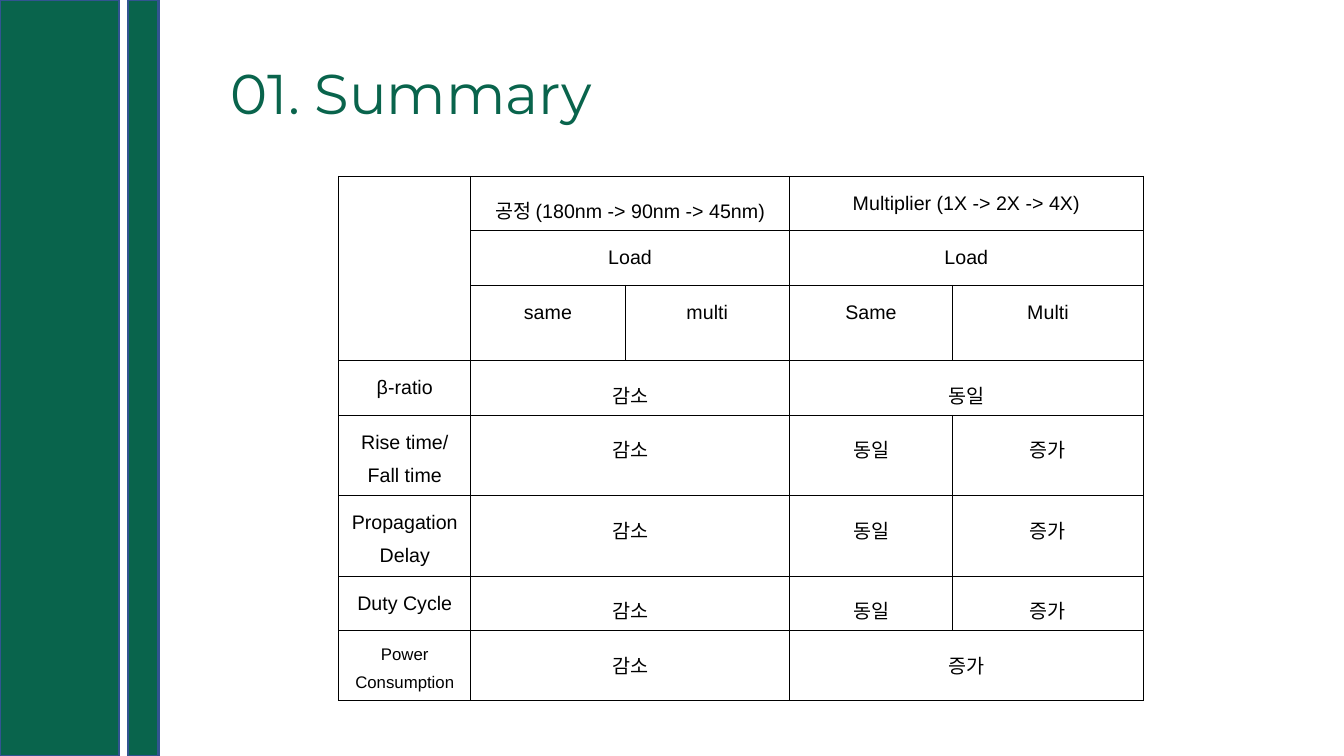
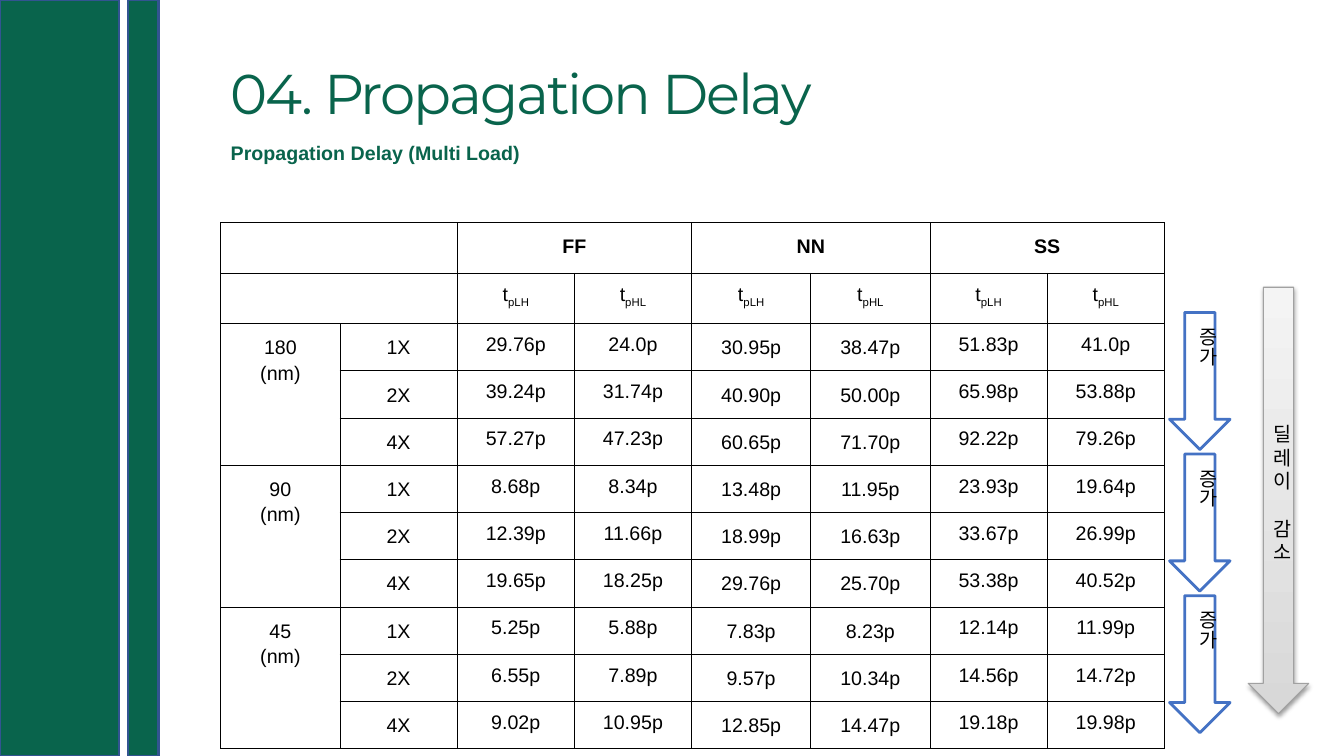
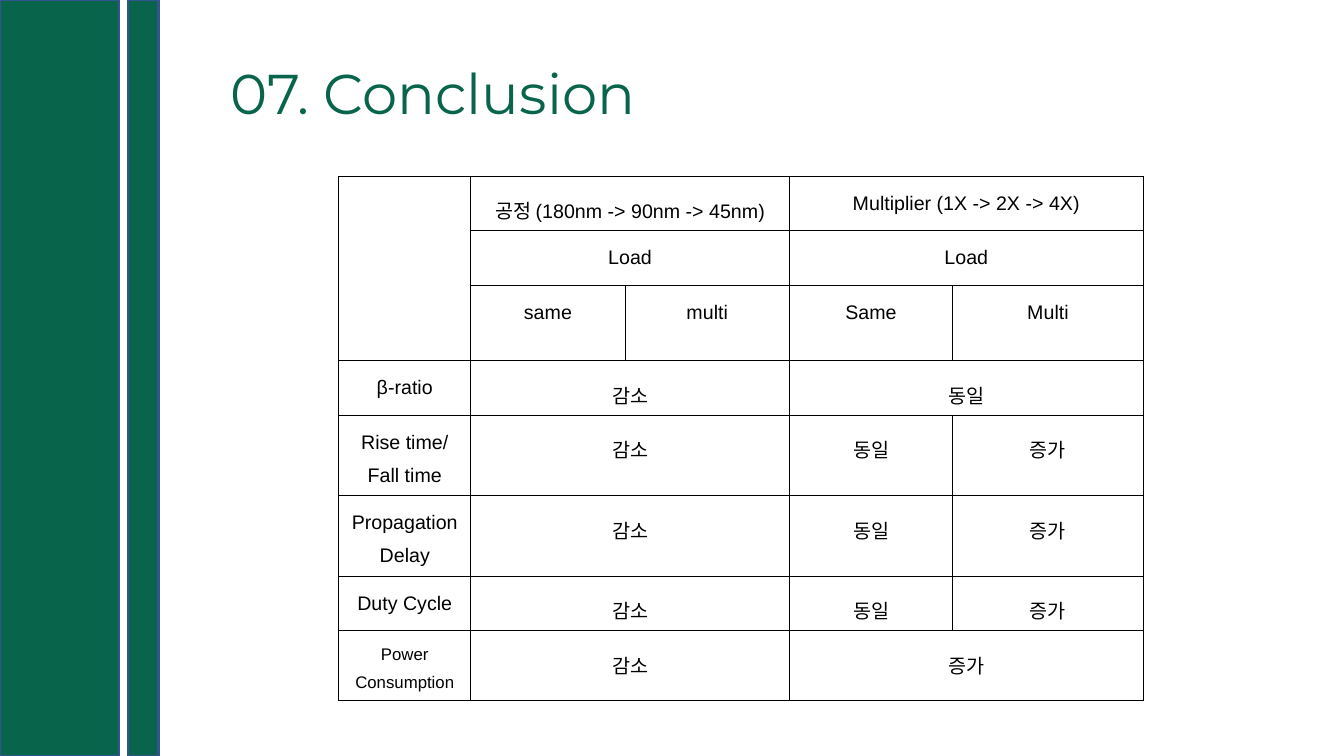
from lxml.etree import SubElement as Sub
from pptx import Presentation
from pptx.dml.color import RGBColor as Rgb
from pptx.enum.shapes import MSO_SHAPE as Kind
from pptx.enum.text import MSO_ANCHOR as Anchor, MSO_AUTO_SIZE as Fit, PP_ALIGN as Align
from pptx.oxml import parse_xml
from pptx.oxml.ns import nsdecls, qn
from pptx.util import Inches, Pt

HUES = {"green": "09644C", "edge": "325491", "blue": "4472C4", "black": "000000",
        "white": "FFFFFF", "gray": "A1A1A1", "dark": "D8D8D8", "light": "F4F4F4"}
WIDE, HIGH = 13.33, 7.5
BANDS = [(0, 1.18), (1.27, 0.3)]
TITLE = (2.19, 0.75, 9.8, 0.41)
LEFT, UP = "<", "^"

TREND = [
    ["", "공정 (180nm -> 90nm -> 45nm)", LEFT, "Multiplier (1X -> 2X -> 4X)", LEFT],
    [UP, "Load", LEFT, "Load", LEFT],
    [UP, "same", "multi", "Same", "Multi"],
    ["β-ratio", "감소", LEFT, "동일", LEFT],
    ["Rise time/\nFall time", "감소", LEFT, "동일", "증가"],
    ["Propagation Delay", "감소", LEFT, "동일", "증가"],
    ["Duty Cycle", "감소", LEFT, "동일", "증가"],
    ["Power Consumption", "감소", LEFT, "증가", LEFT],
]
DELAY = {
    "180": ["29.76p 24.0p 30.95p 38.47p 51.83p 41.0p",
            "39.24p 31.74p 40.90p 50.00p 65.98p 53.88p",
            "57.27p 47.23p 60.65p 71.70p 92.22p 79.26p"],
    "90": ["8.68p 8.34p 13.48p 11.95p 23.93p 19.64p",
           "12.39p 11.66p 18.99p 16.63p 33.67p 26.99p",
           "19.65p 18.25p 29.76p 25.70p 53.38p 40.52p"],
    "45": ["5.25p 5.88p 7.83p 8.23p 12.14p 11.99p",
           "6.55p 7.89p 9.57p 10.34p 14.56p 14.72p",
           "9.02p 10.95p 12.85p 14.47p 19.18p 19.98p"],
}


def hue(name):
    return Rgb.from_string(HUES[name])


def place(box):
    return [Inches(n) for n in box]


def style(frame, size=14, face="Arial", color="black", bold=False,
          align=Align.CENTER, lead=None):
    for para in frame.paragraphs:
        para.alignment = align
        if lead:
            para.line_spacing = lead
        for run in para.runs:
            font = run.font
            font.size, font.name, font.bold = Pt(size), face, bold
            font.color.rgb = hue(color)


def add_form(slide, kind, box, fill, line, weight):
    form = slide.shapes.add_shape(kind, *place(box))
    form.shadow.inherit = False
    if fill:
        form.fill.solid()
        form.fill.fore_color.rgb = hue(fill)
    form.line.color.rgb = hue(line)
    form.line.width = Pt(weight)
    return form


def add_text(slide, box, text, **look):
    label = slide.shapes.add_textbox(*place(box))
    frame = label.text_frame
    frame.word_wrap = True
    frame.auto_size = Fit.SHAPE_TO_FIT_TEXT
    frame.text = text
    style(frame, **look)
    return frame


def add_page(deck, text, track=None):
    slide = deck.slides.add_slide(deck.slide_layouts[5])
    for x, w in BANDS:
        add_form(slide, Kind.RECTANGLE, (x, 0, w, HIGH), "green", "edge", 2)
    title = slide.shapes.title
    title.left, title.top, title.width, title.height = place(TITLE)
    frame = title.text_frame
    frame.text = text
    frame.word_wrap = True
    frame.auto_size = Fit.NONE
    frame.vertical_anchor = Anchor.MIDDLE
    style(frame, 40, "Montserrat", "green", align=Align.LEFT, lead=0.9)
    if track:
        frame.paragraphs[0].runs[0]._r.get_or_add_rPr().set("spc", str(track))
    return slide


def add_edges(cell):
    props = cell._tc.get_or_add_tcPr()
    for spot, side in enumerate("LRTB"):
        props.insert(spot, parse_xml(
            f'<a:ln{side} {nsdecls("a")} w="9525"><a:solidFill>'
            f'<a:srgbClr val="{HUES["black"]}"/></a:solidFill></a:ln{side}>'))


def add_grid(slide, box, cols, rows, data):
    table = slide.shapes.add_table(len(data), len(cols), *place(box)).table
    table.first_row = table.horz_banding = False
    for col, part in zip(table.columns, cols):
        col.width = Inches(box[2] * part / sum(cols))
    for row, part in zip(table.rows, rows):
        row.height = Inches(box[3] * part / sum(rows))
    for r, line in enumerate(data):
        for c, text in enumerate(line):
            cell = table.cell(r, c)
            cell.fill.solid()
            cell.fill.fore_color.rgb = hue("white")
            add_edges(cell)
            if text in (LEFT, UP):
                continue
            w = h = 1
            while c + w < len(line) and line[c + w] == LEFT:
                w += 1
            while r + h < len(data) and data[r + h][c] == UP:
                h += 1
            if w * h > 1:
                cell.merge(table.cell(r + h - 1, c + w - 1))
            cell.text_frame.text = text
    return table


def add_trend(slide, box):
    table = add_grid(slide, box, [1.31, 1.53, 1.63, 1.62, 1.89],
                     [0.54, 0.54, 0.75, 0.54, 0.8, 0.8, 0.54, 0.69], TREND)
    for cell in table.iter_cells():
        small = cell.text_frame.text.startswith("Power")
        style(cell.text_frame, 12 if small else 14, lead=1.5)


def add_delay(slide, box):
    data = [["", LEFT, "FF", LEFT, "NN", LEFT, "SS", LEFT],
            ["", LEFT] + ["tpLH", "tpHL"] * 3]
    for node, lines in DELAY.items():
        for k, line in enumerate(lines):
            data.append([UP if k else f"{node}\n(nm)", f"{2 ** k}X"] + line.split())
    table = add_grid(slide, box, [1.18, 1.16, 1.16, 1.16, 1.18, 1.18, 1.16, 1.16],
                     [1] * len(data), data)
    for r, line in enumerate(data):
        for c, text in enumerate(line):
            cell = table.cell(r, c)
            cell.margin_left = cell.margin_right = Inches(0.1)
            cell.margin_top = cell.margin_bottom = Inches(0.1)
            frame = cell.text_frame
            if text.startswith("tp"):
                para = frame.paragraphs[0]
                para.runs[0].text = "t"
                sub = para.add_run()
                sub.text = text[1:]
                sub._r.get_or_add_rPr().set("baseline", "-25000")
            loose = r == 0 or r > 1 and c in (0, 1, 4, 5)
            style(frame, bold=r == 0, lead=1.15 if loose else None)


def add_rise(slide, box):
    x, y, w, h = box
    add_form(slide, Kind.DOWN_ARROW, box, "white", "blue", 2)
    frame = add_text(slide, (x + 0.05, y + 0.05, w - 0.1, h - 0.16), "증가")
    frame._txBody.bodyPr.set("vert", "eaVert")


def add_fall(slide, box):
    arrow = add_form(slide, Kind.DOWN_ARROW, box, None, "gray", 0.75)
    arrow.fill.gradient()
    arrow.fill.gradient_angle = 90
    for stop, name in zip(arrow.fill.gradient_stops, ("dark", "light")):
        stop.color.rgb = hue(name)
    glow = Sub(arrow._element.spPr.find(qn("a:effectLst")), qn("a:outerShdw"),
               blurRad="40000", dist="20000", dir="5400000", rotWithShape="0")
    tint = Sub(glow, qn("a:srgbClr"), val=HUES["black"])
    Sub(tint, qn("a:alpha"), val="38000")
    frame = arrow.text_frame
    frame.word_wrap = True
    frame.vertical_anchor = Anchor.MIDDLE
    frame.text = "딜레이\n감소"
    style(frame)
    frame.paragraphs[1].space_before = Pt(17)


def main():
    deck = Presentation()
    deck.slide_width, deck.slide_height = Inches(WIDE), Inches(HIGH)
    trend = (3.36, 1.75, 7.98, 5.2)
    add_trend(add_page(deck, "01. Summary"), trend)

    slide = add_page(deck, "04. Propagation Delay", -150)
    add_text(slide, (2.19, 1.35, 4.98, 0.34), "Propagation Delay (Multi Load)",
             color="green", bold=True, align=Align.LEFT)
    add_delay(slide, (2.19, 2.21, 9.36, 5.14))
    for k in range(len(DELAY)):
        add_rise(slide, (11.6, 3.1 + 1.405 * k, 0.6, 1.36))
    add_fall(slide, (12.38, 2.85, 0.6, 4.23))

    add_trend(add_page(deck, "07. Conclusion"), trend)
    deck.save("out.pptx")


if __name__ == "__main__":
    main()
